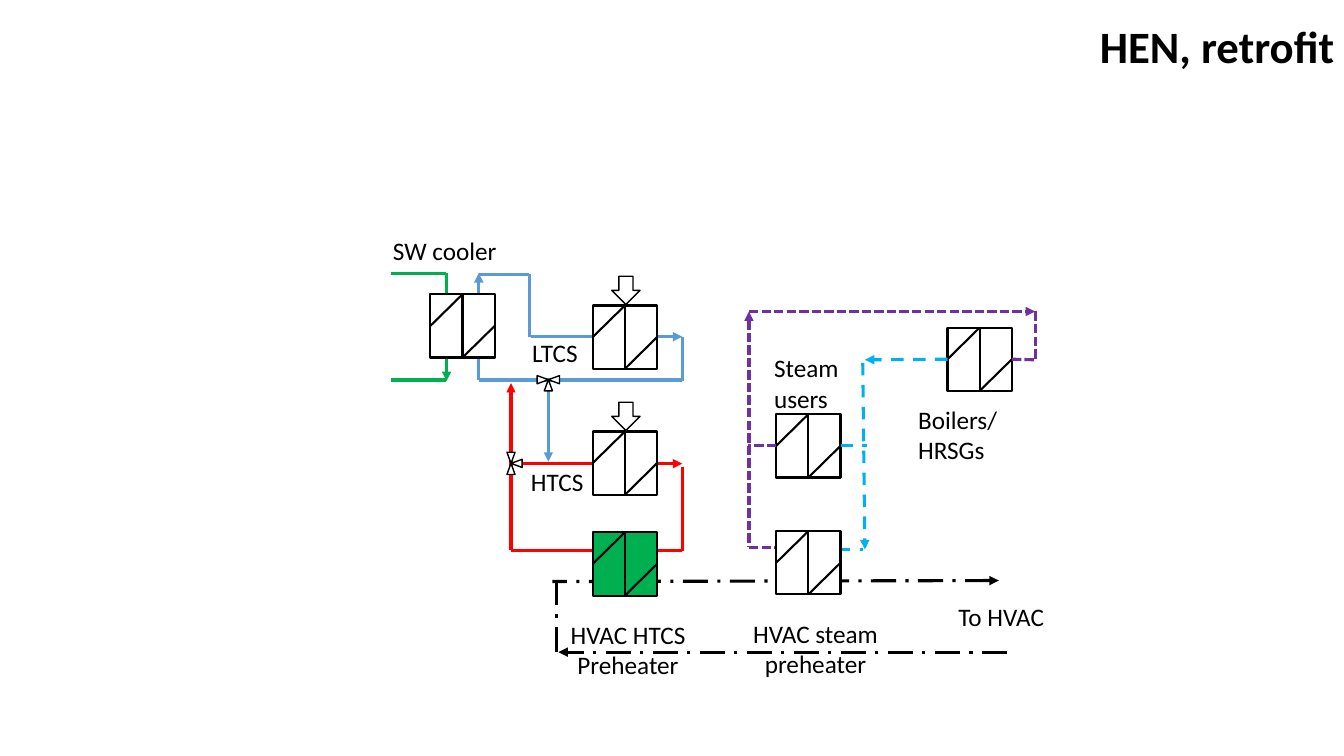
from math import cos, radians, sin
from lxml.etree import SubElement
from pptx import Presentation
from pptx.dml.color import RGBColor
from pptx.enum.dml import MSO_LINE
from pptx.enum.shapes import MSO_CONNECTOR, MSO_SHAPE
from pptx.enum.text import PP_ALIGN
from pptx.oxml.ns import qn
from pptx.util import Pt

BLACK = RGBColor(0x00, 0x00, 0x00)
WHITE = RGBColor(0xFF, 0xFF, 0xFF)
GREEN = RGBColor(0x00, 0xB0, 0x50)
BLUE = RGBColor(0x5B, 0x9B, 0xD5)
RED = RGBColor(0xFF, 0x00, 0x00)
CYAN = RGBColor(0x00, 0xB0, 0xF0)
PURPLE = RGBColor(0x70, 0x30, 0xA0)
DASHES = {CYAN: MSO_LINE.DASH, PURPLE: MSO_LINE.SQUARE_DOT,
          BLACK: MSO_LINE.LONG_DASH_DOT}

deck = Presentation()
deck.slide_width, deck.slide_height = Pt(960), Pt(540)
slide = deck.slides.add_slide(deck.slide_layouts[6])
shapes = slide.shapes


def add_line(x1, y1, x2, y2, color, arrow=None, width=2.25, dash=None):
    line = shapes.add_connector(MSO_CONNECTOR.STRAIGHT,
                                Pt(x1), Pt(y1), Pt(x2), Pt(y2))
    line.line.color.rgb = color
    line.line.width = Pt(width)
    if dash:
        line.line.dash_style = dash
    if arrow:
        SubElement(line.line._get_or_add_ln(), qn("a:" + arrow), type="triangle")
    SubElement(line._element.spPr, qn("a:effectLst"))
    return line


def add_text(text, x, y, w, h, size=18, bold=False, align=PP_ALIGN.LEFT):
    frame = shapes.add_textbox(Pt(x), Pt(y), Pt(w), Pt(h)).text_frame
    frame.word_wrap = True
    para = frame.paragraphs[0]
    para.text = text
    para.alignment = align
    para.font.name = "Calibri"
    para.font.size = Pt(size)
    para.font.bold = bold
    para.font.color.rgb = BLACK


# Pipes: start, end, colour, arrowhead
HEAD, TAIL = "headEnd", "tailEnd"
pipes = [
    # Sea water
    (319, 195.1, 319, 272.2, GREEN, TAIL),
    (318.6, 195.1, 279.4, 195.1, GREEN, None),
    (318.6, 271.4, 279.4, 271.4, GREEN, None),
    # Low temperature loop
    (342, 271.4, 342, 195.1, BLUE, TAIL),
    (378, 195.8, 342, 195.8, BLUE, None),
    (378, 240.5, 378, 195.8, BLUE, None),
    (379.4, 240.5, 487.4, 240.5, BLUE, TAIL),
    (487.4, 272.2, 487.4, 240.5, BLUE, None),
    (487.4, 271.4, 342, 271.4, BLUE, None),
    (391.7, 279.4, 391.7, 329.8, BLUE, TAIL),
    # High temperature loop
    (365, 331.2, 487.4, 331.2, RED, TAIL),
    (487.4, 333.4, 487.4, 393.8, RED, None),
    (365, 393.1, 487.4, 393.1, RED, None),
    (365, 393.1, 365, 273.6, RED, TAIL),
    # HVAC water
    (713.5, 414.7, 394.6, 415.4, BLACK, HEAD),
    (719.3, 465.8, 398.9, 465.8, BLACK, TAIL),
    (397.4, 465.8, 397.4, 415.4, BLACK, None),
    # Steam and condensate
    (598.3, 392.4, 616.3, 392.4, CYAN, None),
    (616.3, 259.2, 617.8, 392.4, CYAN, TAIL),
    (535, 391, 554.4, 391, PURPLE, None),
    (535, 222.5, 535, 391, PURPLE, HEAD),
    (535, 222.5, 739.4, 222.5, PURPLE, TAIL),
    (739.4, 222.5, 739.4, 257.8, PURPLE, None),
]
for x1, y1, x2, y2, color, arrow in pipes:
    add_line(x1, y1, x2, y2, color, arrow, dash=DASHES.get(color))

# Exchangers, heat arrows and three-way valves
BOX_W, BOX_H = 46, 45.2
units = {
    "cooler": (307.4, 210.2), "LTCS": (423.4, 218.2),
    "HTCS": (423.4, 308.2), "water": (423.4, 380.2),
    "users": (554.4, 295.9), "steam": (554.4, 379.4),
    "boilers": (676.8, 234),
}
parts = [(name, MSO_SHAPE.RECTANGLE, x, y, BOX_W, BOX_H, 0, 1.5)
         for name, (x, y) in units.items()]
parts += [("heat", MSO_SHAPE.DOWN_ARROW, 437, y, 20.2, 20.2, 0, 1)
          for y in (197.3, 287.3)]
TIP_W, TIP_H = 5.8, 8
for x, y, turns in [(365, 331, (180, 0, 270)), (391.7, 271.2, (270, 90, 0))]:
    for turn in turns:
        left = x - sin(radians(turn)) * TIP_H / 2 * -1 * -1 - TIP_W / 2
        top = y + cos(radians(turn)) * TIP_H / 2 - TIP_H / 2
        parts.append(("valve", MSO_SHAPE.ISOSCELES_TRIANGLE,
                      left, top, TIP_W, TIP_H, turn, 1))

boxes = {}
for name, kind, x, y, w, h, turn, width in parts:
    part = shapes.add_shape(kind, Pt(x), Pt(y), Pt(w), Pt(h))
    part.rotation = turn
    part.shadow.inherit = False
    part.fill.solid()
    part.fill.fore_color.rgb = GREEN if name == "water" else WHITE
    part.line.color.rgb = BLACK
    part.line.width = Pt(width)
    boxes[name] = part

# Plate marks inside each exchanger
for x, y in units.values():
    mid, right = x + BOX_W / 2, x + BOX_W
    half, foot = y + BOX_H / 2, y + BOX_H
    add_line(x, half, mid, y, BLACK, width=1.5)
    add_line(mid, foot, mid, y, BLACK, width=1.5)
    add_line(mid, foot, right, half, BLACK, width=1.5)

# Pipes joined to an exchanger: unit, side (1 left, 3 right), far end
for name, side, x, y, color, arrow in [
        ("users", 3, 619.2, 318.5, CYAN, None),
        ("users", 1, 534.6, 318.5, PURPLE, None),
        ("boilers", 1, 617.8, 257, CYAN, TAIL),
        ("boilers", 3, 739.4, 257, PURPLE, None)]:
    pipe = add_line(x, y, x, y, color, arrow, dash=DASHES[color])
    pipe.begin_connect(boxes[name], side)
    pipe.end_x, pipe.end_y = Pt(x), Pt(y)

# Labels
add_text("HEN, retrofit", 457.2, 10.1, 503, 46, size=32, bold=True,
         align=PP_ALIGN.RIGHT)
for text, x, y, w, h in [
        ("SW cooler", 273.6, 164.2, 95, 29), ("LTCS", 373, 237.6, 54, 29),
        ("HTCS", 372.2, 329.8, 56, 29), ("Steam users", 545.8, 248.4, 72.7, 51),
        ("Boilers/\vHRSGs", 648.7, 285.1, 90, 51),
        ("To HVAC", 677.5, 426.2, 85, 29)]:
    add_text(text, x, y, w, h)
add_text("HVAC HTCS\vPreheater", 393.6, 438.5, 110, 51, align=PP_ALIGN.CENTER)
add_text("HVAC steam\vpreheater", 522.5, 437.8, 120, 51, align=PP_ALIGN.CENTER)

deck.save("out.pptx")
